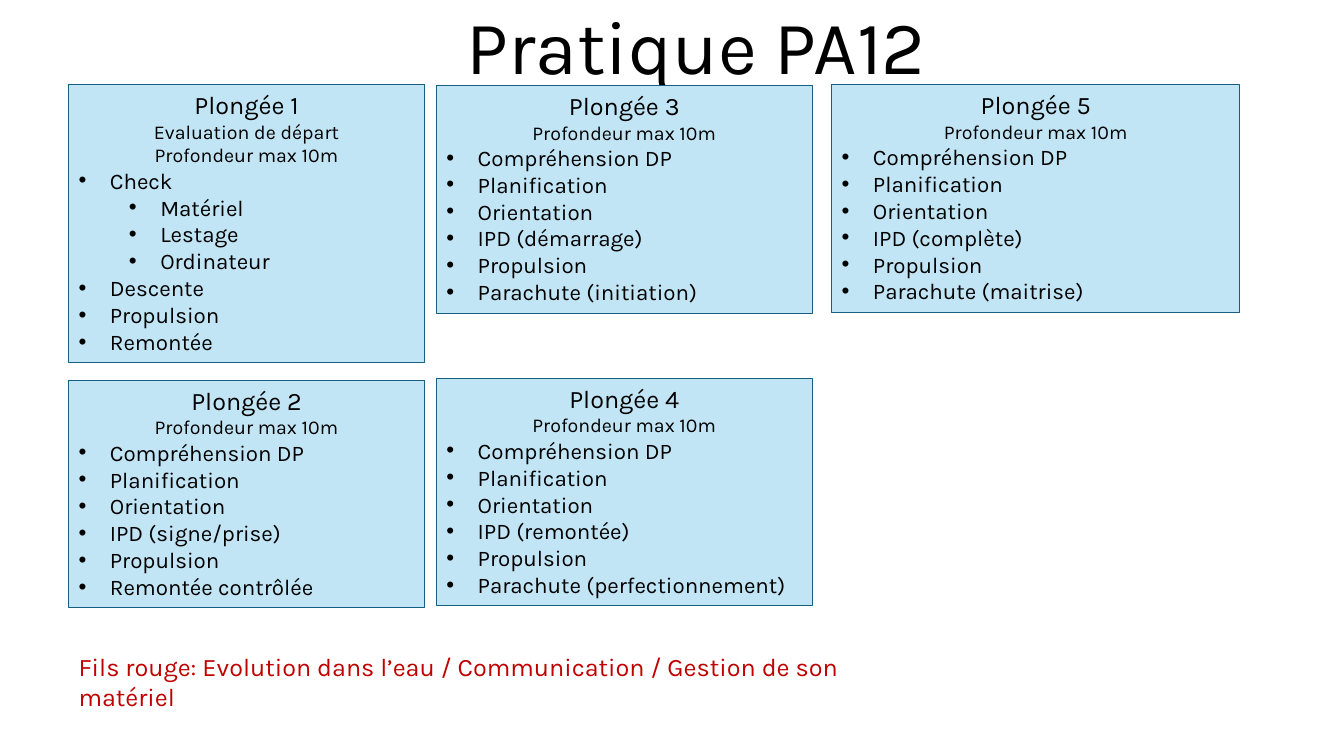
from lxml import etree
from pptx import Presentation
from pptx import util as u
from pptx.dml.color import RGBColor
from pptx.enum import shapes, text
from pptx.oxml import ns


def colour(hex_value):
    return RGBColor.from_string(hex_value)


def style(paragraph, size, hex_value="000000"):
    font = paragraph.runs[0].font
    font.name = "Karla"
    font.size = u.Pt(size)
    font.color.rgb = colour(hex_value)


deck = Presentation()
deck.slide_width, deck.slide_height = u.Cm(33.87), u.Cm(19.05)
slide = deck.slides.add_slide(deck.slide_layouts[6])

title = slide.shapes.add_textbox(u.Cm(4.85), u.Cm(0), u.Cm(25.4), u.Cm(2.41)).text_frame
title.word_wrap = True
title.vertical_anchor = text.MSO_ANCHOR.BOTTOM
title.text = "Pratique PA12"
title.paragraphs[0].alignment = text.PP_ALIGN.CENTER
title.paragraphs[0].line_spacing = 0.9
style(title.paragraphs[0], 54)

depth = "Profondeur max 10m"
common = ["Compréhension DP", "Planification", "Orientation"]
equipment = ["Matériel", "Lestage", "Ordinateur"]
columns = [(1.73, 8.97), (11, 9.47), (20.96, 10.29)]
dives = [
    (0, 2.13, 7.01, ["Evaluation de départ", depth],
     ["Check", *equipment, "Descente", "Propulsion", "Remontée"]),
    (0, 9.58, 5.74, [depth],
     [*common, "IPD (signe/prise)", "Propulsion", "Remontée contrôlée"]),
    (1, 2.15, 5.74, [depth],
     [*common, "IPD (démarrage)", "Propulsion", "Parachute (initiation)"]),
    (1, 9.53, 5.74, [depth],
     [*common, "IPD (remontée)", "Propulsion", "Parachute (perfectionnement)"]),
    (2, 2.13, 5.74, [depth],
     [*common, "IPD (complète)", "Propulsion", "Parachute (maitrise)"]),
]

for number, (column, top, height, subtitles, skills) in enumerate(dives, 1):
    left, width = columns[column]
    dive = slide.shapes.add_shape(
        shapes.MSO_SHAPE.RECTANGLE, u.Cm(left), u.Cm(top), u.Cm(width), u.Cm(height))
    dive.shadow.inherit = False
    dive.fill.solid()
    dive.fill.fore_color.rgb = colour("C1E5F5")
    dive.line.color.rgb = colour("156082")
    dive.line.width = u.Pt(0.75)

    content = dive.text_frame
    content.word_wrap = True
    content.auto_size = text.MSO_AUTO_SIZE.SHAPE_TO_FIT_TEXT
    content.vertical_anchor = text.MSO_ANCHOR.TOP
    headings = [f"Plongée {number}", *subtitles]
    content.text = "\n".join(headings + skills)

    for index, line in enumerate(content.paragraphs):
        if index < len(headings):
            line.alignment = text.PP_ALIGN.CENTER
            style(line, 14 if index else 18)
            continue
        line.alignment = text.PP_ALIGN.LEFT
        style(line, 16)
        line.level = int(line.text in equipment)
        properties = line._p.get_or_add_pPr()
        properties.set("marL", str(u.Cm(0.79 + 1.27 * line.level)))
        properties.set("indent", str(u.Cm(-0.79)))
        etree.SubElement(properties, ns.qn("a:buFont")).set("typeface", "Arial")
        etree.SubElement(properties, ns.qn("a:buChar")).set("char", "•")

theme = slide.shapes.add_textbox(u.Cm(1.73), u.Cm(16.28), u.Cm(21), u.Cm(1.02)).text_frame
theme.word_wrap = True
theme.text = "Fils rouge: Evolution dans l’eau / Communication / Gestion de son matériel"
style(theme.paragraphs[0], 18, "C00000")

deck.save("out.pptx")
